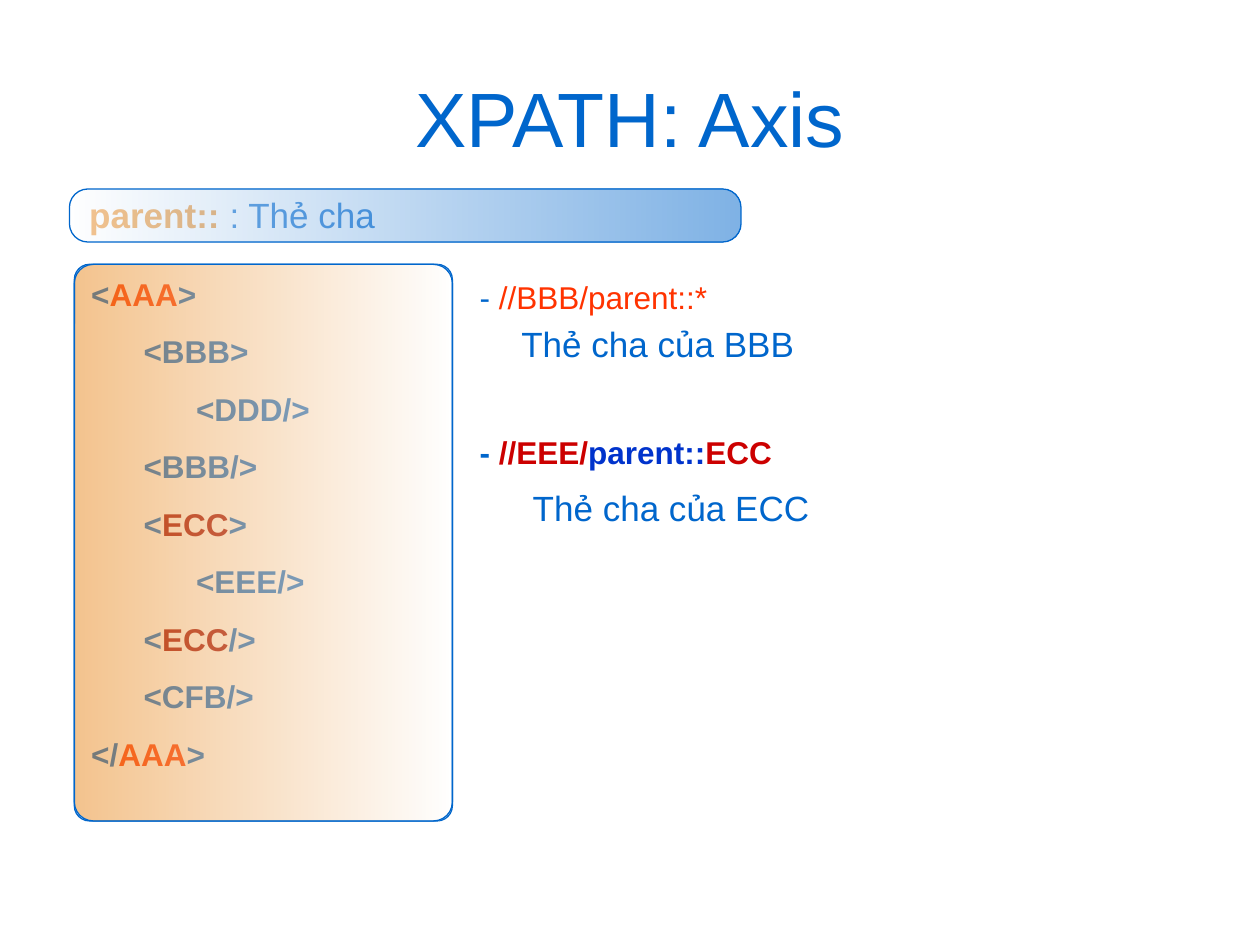
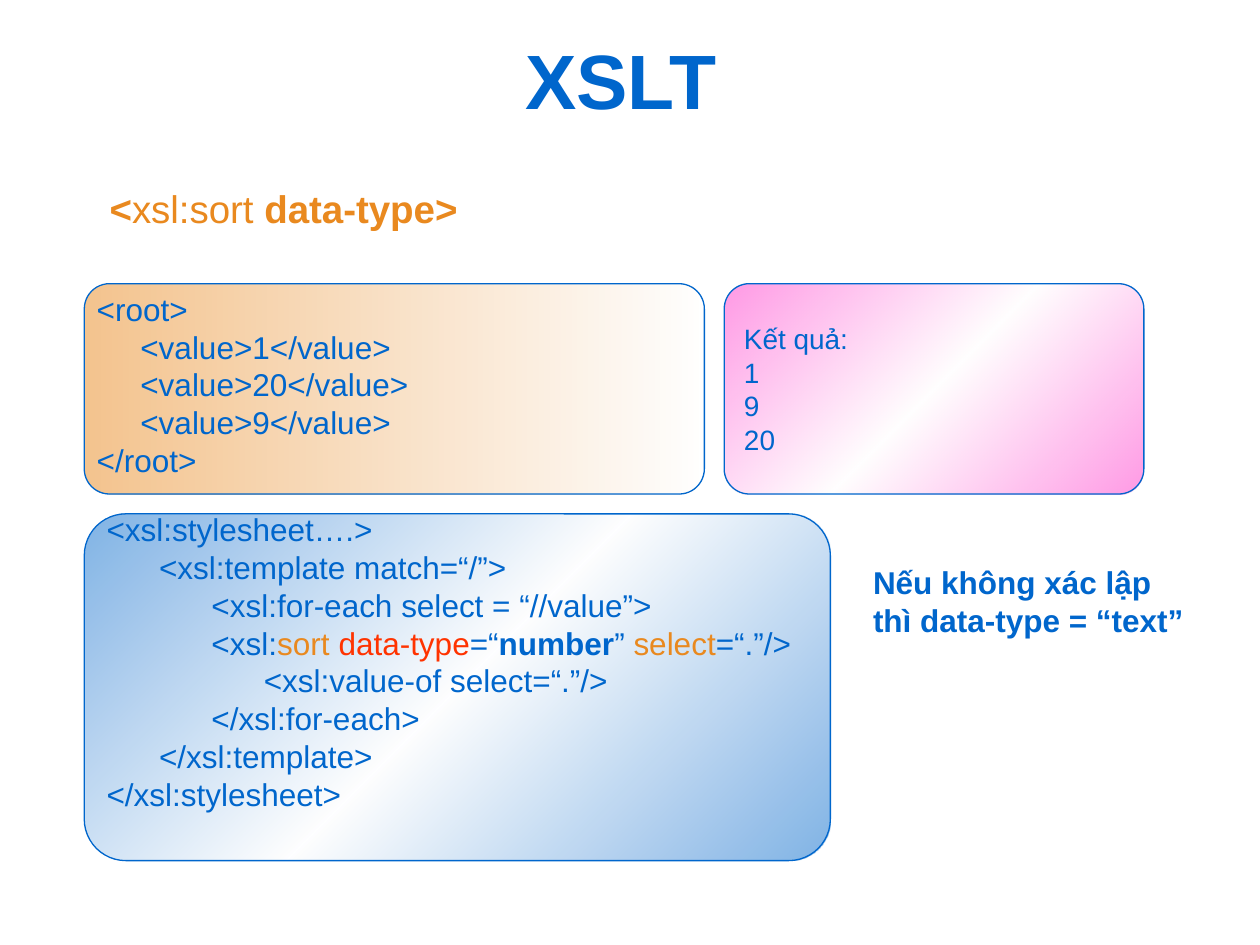
from pptx import Presentation
from pptx import util as u
from pptx.dml.color import RGBColor
from pptx.enum import shapes, text
from pptx.oxml import parse_xml
from pptx.oxml.ns import nsdecls, qn

FONT = "Arial"
BLUE, ORANGE, WHITE, PINK = "0066CC", "E9891F", "FFFFFF", "FF33CC"
RED, MAROON, CRIMSON, NAVY = "FF3300", "990000", "CC0000", "0033CC"
LINE_HEIGHT = 1.2


def rgb(value):
    """Turn a hex string into a colour."""
    return RGBColor.from_string(value)


def cm(box):
    """Turn a box of left, top, width and height into lengths."""
    return [u.Cm(v) for v in box]


def write(sp, lines, size, bold=False, before=0, align=text.PP_ALIGN.LEFT,
          anchor=text.MSO_ANCHOR.TOP):
    """Fill a shape with lines, each a string or a list of (text, colour, bold) runs."""
    tf = sp.text_frame
    tf.word_wrap = True
    tf.vertical_anchor = anchor
    for i, line in enumerate(lines):
        p = tf.add_paragraph() if i else tf.paragraphs[0]
        p.alignment = align
        p.line_spacing = u.Pt(size * LINE_HEIGHT)
        p.space_before = u.Pt(before if i else 0)
        for part in [(line,)] if isinstance(line, str) else line:
            words, colour, heavy = (*part, BLUE, bold)[:3] if len(part) < 2 else (*part, bold)[:3]
            r = p.add_run()
            r.text = words
            r.font.name, r.font.size, r.font.bold = FONT, u.Pt(size), heavy
            r.font.color.rgb = rgb(colour)


def add_text(s, box, lines, size, **style):
    """Add a text box."""
    write(s.shapes.add_textbox(*cm(box)), lines, size, **style)


def add_title(s, box, words, bold=False):
    """Add the centred slide title."""
    add_text(s, box, [words], 44, bold=bold, align=text.PP_ALIGN.CENTER,
             anchor=text.MSO_ANCHOR.MIDDLE)


def add_panel(s, box, corner, colours=(), angle=0):
    """Add an outlined rounded panel with an optional half-transparent gradient."""
    sp = s.shapes.add_shape(shapes.MSO_SHAPE.ROUNDED_RECTANGLE, *cm(box))
    sp.adjustments[0] = corner
    sp.shadow.inherit = False
    sp.line.color.rgb = rgb(BLUE)
    sp.line.width = u.Pt(0.75)
    sp.fill.background()
    if colours:
        stops = "".join(
            f'<a:gs pos="{100000 * i // (len(colours) - 1)}"><a:srgbClr val="{c}">'
            '<a:alpha val="50000"/></a:srgbClr></a:gs>' for i, c in enumerate(colours))
        spPr = sp._element.spPr
        spPr.replace(spPr.find(qn("a:noFill")), parse_xml(
            f'<a:gradFill {nsdecls("a")} rotWithShape="1"><a:gsLst>{stops}</a:gsLst>'
            f'<a:lin ang="{angle * 60000}" scaled="0"/></a:gradFill>'))
    return sp


def axis_heading(s, box):
    """Draw the axis name under its tinted bar."""
    x, y, w, h = box
    add_text(s, (x + 0.15, y - 0.03, w, h), [[("parent:: ", ORANGE, True), (": Thẻ cha",)]], 20)
    add_panel(s, box, 0.35, (WHITE, BLUE))


def axis_tree(s, box):
    """Draw the sample document under a tinted panel."""
    lines = [
        [("<",), ("AAA", RED), (">",)],
        "      <BBB>",
        "            <DDD/>",
        "      <BBB/>",
        [("      <",), ("ECC", MAROON), (">",)],
        "            <EEE/>",
        [("      <",), ("ECC", MAROON), ("/>",)],
        "      <CFB/>",
        [("</",), ("AAA", RED), (">",)],
    ]
    write(add_panel(s, box, 0.04), lines, 18, bold=True, before=11.25)
    add_panel(s, box, 0.05, (ORANGE, WHITE))


def axis_example(s, box, query, meaning, indent, drop, bold=False):
    """Write a query with its meaning indented below."""
    x, y, w, h = box
    add_text(s, box, [[("- ",), *query]], 18, bold=bold)
    add_text(s, (x + indent, y + drop, w - indent, h), [meaning], 20)


def sort_source(s, box):
    """Draw the input document panel."""
    x, y, w, h = box
    add_panel(s, box, 0.12, (ORANGE, WHITE))
    values = [f"     <value>{n}</value>" for n in (1, 20, 9)]
    add_text(s, (x, y, w, h), ["<root>", *values, "</root>"], 18)


def sort_result(s, box):
    """Draw the sorted result panel."""
    sp = add_panel(s, box, 0.12, (PINK, WHITE, PINK), 45)
    write(sp, ["Kết quả:", "1", "9", "20"], 16, anchor=text.MSO_ANCHOR.MIDDLE)


def sort_stylesheet(s, box):
    """Draw the stylesheet panel."""
    x, y, w, h = box
    add_panel(s, box, 0.12, (BLUE, WHITE, BLUE), 45)
    add_text(s, (x + 0.2, y - 0.2, w - 0.2, h), [
        "<xsl:stylesheet….>",
        "      <xsl:template match=“/”>",
        "            <xsl:for-each select = “//value”>",
        [("            <xsl:",), ("sort ", ORANGE), ("data-type", RED), ("=“",),
         ("number", BLUE, True), ("” ",), ("select", ORANGE), ("=“.”/>",)],
        "                  <xsl:value-of select=“.”/>",
        "            </xsl:for-each>",
        "      </xsl:template>",
        "</xsl:stylesheet>",
    ], 18)


def axis_slide(prs):
    """Build the slide on the parent axis."""
    s = prs.slides.add_slide(prs.slide_layouts[6])
    add_title(s, (1.27, 0.76, 22.86, 3.18), "XPATH: Axis")
    axis_heading(s, (1.4, 3.81, 13.54, 1.07))
    axis_tree(s, (1.5, 5.33, 7.62, 11.22))
    axis_example(s, (9.42, 5.49, 14.6, 1.02), [("//BBB/parent::*", RED)],
                 "Thẻ cha của BBB", 0.84, 0.89)
    axis_example(s, (9.42, 8.61, 14.6, 1.02),
                 [("//EEE/", CRIMSON), ("parent::", NAVY), ("ECC", CRIMSON)],
                 "Thẻ cha của ECC", 1.07, 1.07, bold=True)


def sort_slide(prs):
    """Build the slide on sorting by data type."""
    s = prs.slides.add_slide(prs.slide_layouts[6])
    add_title(s, (1.09, 0, 22.86, 3.18), "XSLT", bold=True)
    add_text(s, (1.96, 3.61, 16.46, 1.19), [
        [("<", ORANGE, True), ("xsl:sort ", ORANGE), ("data-type>", ORANGE, True)]], 22)
    sort_source(s, (1.7, 5.72, 12.5, 4.24))
    sort_result(s, (14.6, 5.72, 8.46, 4.24))
    sort_stylesheet(s, (1.7, 10.36, 15.04, 6.99))
    add_text(s, (17.35, 11.23, 6.8, 1.78),
             ["Nếu không xác lập thì data-type = “text”"], 18, bold=True)


def main():
    """Build and save the presentation."""
    prs = Presentation()
    prs.slide_width, prs.slide_height = u.Cm(25.4), u.Cm(19.05)
    axis_slide(prs)
    sort_slide(prs)
    prs.save("out.pptx")


if __name__ == "__main__":
    main()
